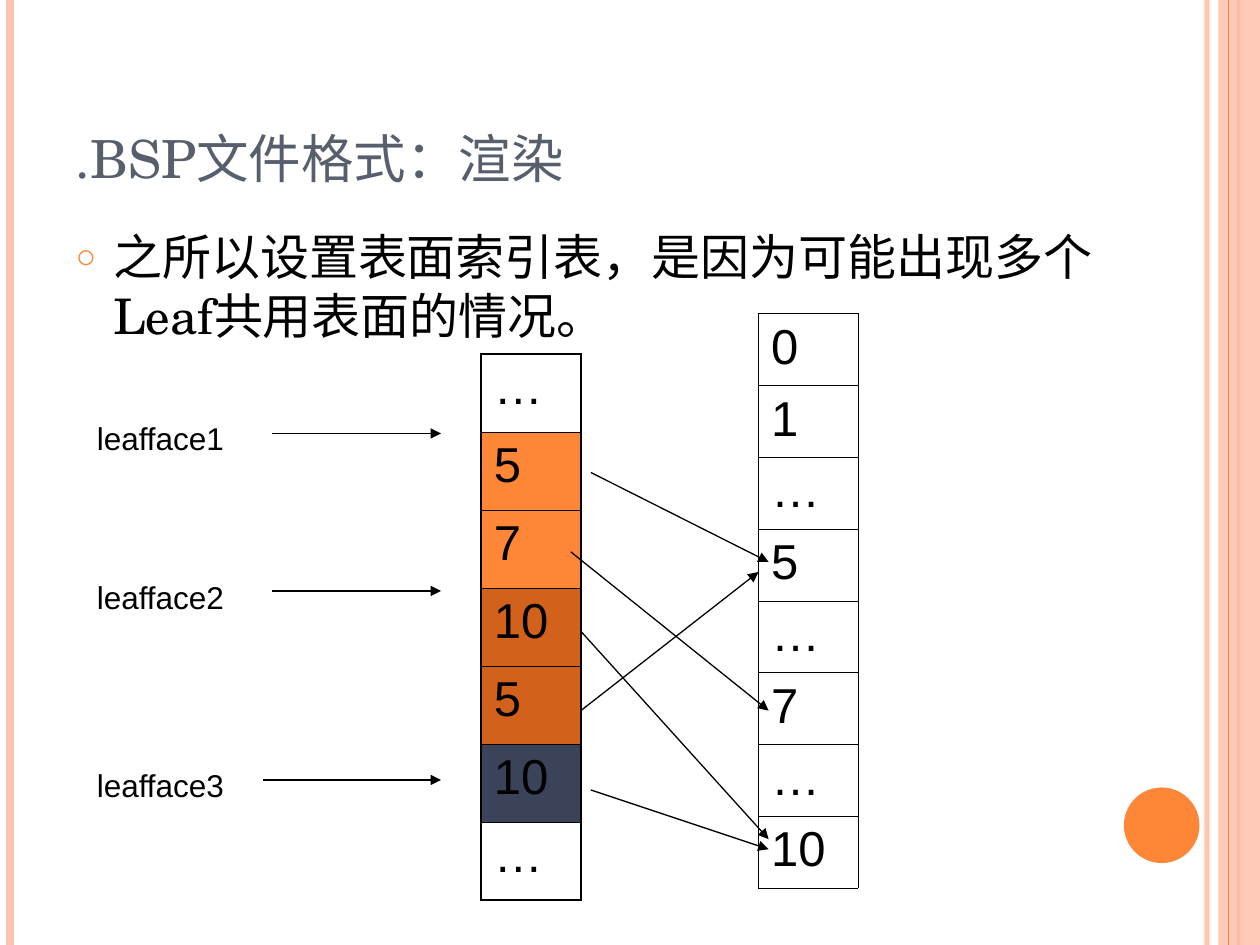
from typing import NamedTuple, Optional

from lxml import etree
from pptx import Presentation
from pptx import util as u
from pptx.dml.color import RGBColor
from pptx.enum import shapes, text
from pptx.oxml import ns

# Grid of the slide: 100 columns by 75 rows
COLUMNS, ROWS = 100, 75
WIDTH, HEIGHT = u.Inches(10), u.Inches(7.5)
COLORS = {
    "peach": "FEC3AE", "orange": "FE8637", "rust": "D2611C", "navy": "3B435B",
    "slate": "575F6D", "black": "000000",
}
SERIF, SANS = "TeX Gyre Schola", "Arial"
THIN, THICK = 0.45, 1.08


class Line(NamedTuple):
    x1: float
    y1: float
    x2: float
    y2: float
    color: str = "black"
    width: float = 0.75
    opacity: int = 100
    arrow: bool = True


class Column(NamedTuple):
    """A one-column table of index values."""
    left: float
    top: float
    row_height: float
    values: list[str]
    fills: list[Optional[str]]
    outline: float


class Leaf(NamedTuple):
    label: str
    label_top: float
    arrow_left: float
    arrow_y: float


def stripe(x: float, color: str, width: float, opacity: int = 100) -> Line:
    return Line(x, 0, x, ROWS, color, width, opacity, arrow=False)


STRIPES = [stripe(95.8, "peach", 3, 93), stripe(0.8, "peach", 4.5), stripe(98.3, "orange", 1.5)]
INNER_STRIPE = stripe(97.5, "orange", 0.75)

INDEX_TABLE = Column(
    38.2, 28.1, 6.19, ["…", "5", "7", "10", "5", "10", "…"],
    [None, "orange", "orange", "rust", "rust", "navy", None], THICK)
FACE_TABLE = Column(
    60.2, 24.9, 5.7, ["0", "1", "…", "5", "…", "7", "…", "10"], [None] * 8, THIN)

LEAVES = [
    Leaf("leafface1", 32.8, 21.6, 34.4),
    Leaf("leafface2", 45.4, 21.6, 46.9),
    Leaf("leafface3", 60.3, 20.9, 61.9),
]
LINKS = [
    Line(46.9, 37.5, 61, 44.6), Line(46.1, 56.4, 60.2, 45.4), Line(46.1, 50.1, 61, 66.6),
    Line(46.9, 62.7, 61, 67.4), Line(45.3, 43.8, 61, 56.4),
]


def across(columns: float) -> int:
    return round(WIDTH * columns / COLUMNS)


def down(rows: float) -> int:
    return round(HEIGHT * rows / ROWS)


def rgb(name: str) -> RGBColor:
    return RGBColor.from_string(COLORS[name])


def add_element(parent, tag: str, **attributes):
    return etree.SubElement(parent, ns.qn(tag), attributes)


def set_opacity(element, percent: int) -> None:
    for color in element.iter(ns.qn("a:srgbClr")):
        add_element(color, "a:alpha", val=str(percent * 1000))


def write(frame, words: str, size: float, font: str, color: str) -> None:
    frame.text = words
    paragraph = frame.paragraphs[0]
    paragraph.alignment = text.PP_ALIGN.LEFT
    paragraph.space_before = u.Pt(0)
    for run in paragraph.runs:
        run.font.size, run.font.name = u.Pt(size), font
        run.font.bold = False
        run.font.color.rgb = rgb(color)


def draw_line(slide, line: Line) -> None:
    connector = slide.shapes.add_connector(
        shapes.MSO_CONNECTOR.STRAIGHT,
        across(line.x1), down(line.y1), across(line.x2), down(line.y2))
    connector.line.color.rgb = rgb(line.color)
    connector.line.width = u.Pt(line.width)
    properties = connector.element.spPr
    if line.opacity < 100:
        set_opacity(properties, line.opacity)
    if line.arrow:
        add_element(connector.line._get_or_add_ln(), "a:tailEnd", type="triangle")
    add_element(properties, "a:effectLst")


def draw_shape(slide, kind, left: float, top: float, width: float, height: float, color: str):
    shape = slide.shapes.add_shape(kind, across(left), down(top), across(width), down(height))
    shape.shadow.inherit = False
    shape.fill.solid()
    shape.fill.fore_color.rgb = rgb(color)
    shape.line.fill.background()
    return shape


def set_borders(cell, widths: dict[str, float]) -> None:
    properties = cell._tc.get_or_add_tcPr()
    for position, (side, width) in enumerate(widths.items()):
        border = etree.Element(ns.qn(f"a:{side}"), w=str(u.Pt(width)))
        fill = add_element(border, "a:solidFill")
        add_element(fill, "a:srgbClr", val=COLORS["black"])
        properties.insert(position, border)


def draw_table(slide, column: Column) -> None:
    count = len(column.values)
    table = slide.shapes.add_table(
        count, 1, across(column.left), down(column.top),
        across(7.9), down(column.row_height * count)).table
    table.first_row = table.horz_banding = False
    for index, (value, fill) in enumerate(zip(column.values, column.fills)):
        table.rows[index].height = down(column.row_height)
        cell = table.cell(index, 0)
        write(cell.text_frame, value, 28, SANS, "black")
        if fill:
            cell.fill.solid()
            cell.fill.fore_color.rgb = rgb(fill)
        else:
            cell.fill.background()
        set_borders(cell, {
            "lnL": column.outline,
            "lnR": column.outline,
            "lnT": column.outline if index == 0 else THIN,
            "lnB": column.outline if index == count - 1 else THIN,
        })


def draw_leaf(slide, leaf: Leaf) -> None:
    box = slide.shapes.add_textbox(across(6.7), down(leaf.label_top), across(15.7), down(4))
    box.text_frame.word_wrap = True
    write(box.text_frame, leaf.label, 18, SANS, "black")
    draw_line(slide, Line(leaf.arrow_left, leaf.arrow_y, 35, leaf.arrow_y))


def fill_placeholder(slide, placeholder, top: float, width: float, height: float, anchor,
                     words: str, size: float, color: str) -> None:
    slide.shapes.element.append(placeholder.element)  # in front of the decoration
    placeholder.left, placeholder.top = across(5), down(top)
    placeholder.width, placeholder.height = across(width), down(height)
    frame = placeholder.text_frame
    frame.auto_size = text.MSO_AUTO_SIZE.NONE
    frame.vertical_anchor = anchor
    write(frame, words, size, SERIF, color)


def set_bullet(paragraph) -> None:
    properties = paragraph._p.get_or_add_pPr()
    properties.set("marL", str(u.Inches(0.3)))
    properties.set("indent", str(-u.Inches(0.3)))
    add_element(add_element(properties, "a:buClr"), "a:srgbClr", val=COLORS["orange"])
    add_element(properties, "a:buSzPct", val="70000")
    add_element(properties, "a:buChar", char="○")


def main() -> None:
    presentation = Presentation()
    presentation.slide_width, presentation.slide_height = WIDTH, HEIGHT
    slide = presentation.slides.add_slide(presentation.slide_layouts[1])

    # Side stripes and disc
    for line in STRIPES:
        draw_line(slide, line)
    band = draw_shape(slide, shapes.MSO_SHAPE.RECTANGLE, 96.7, 0, 3.3, ROWS, "peach")
    set_opacity(band.element.spPr, 87)
    draw_line(slide, INNER_STRIPE)
    draw_shape(slide, shapes.MSO_SHAPE.OVAL, 89.2, 62.5, 6, 6, "orange")

    # Title and list
    body = slide.placeholders[1]
    fill_placeholder(slide, slide.shapes.title, 3, 90, 12.5, text.MSO_ANCHOR.BOTTOM,
                     ".BSP文件格式：渲染", 30, "slate")
    fill_placeholder(slide, body, 17.5, 88.3, 10.6, text.MSO_ANCHOR.TOP,
                     "之所以设置表面索引表，是因为可能出现多个Leaf共用表面的情况。", 28, "black")
    set_bullet(body.text_frame.paragraphs[0])

    # Index tables, leaves and links
    for column in (INDEX_TABLE, FACE_TABLE):
        draw_table(slide, column)
    for leaf in LEAVES:
        draw_leaf(slide, leaf)
    for link in LINKS:
        draw_line(slide, link)

    presentation.save("out.pptx")


if __name__ == "__main__":
    main()
